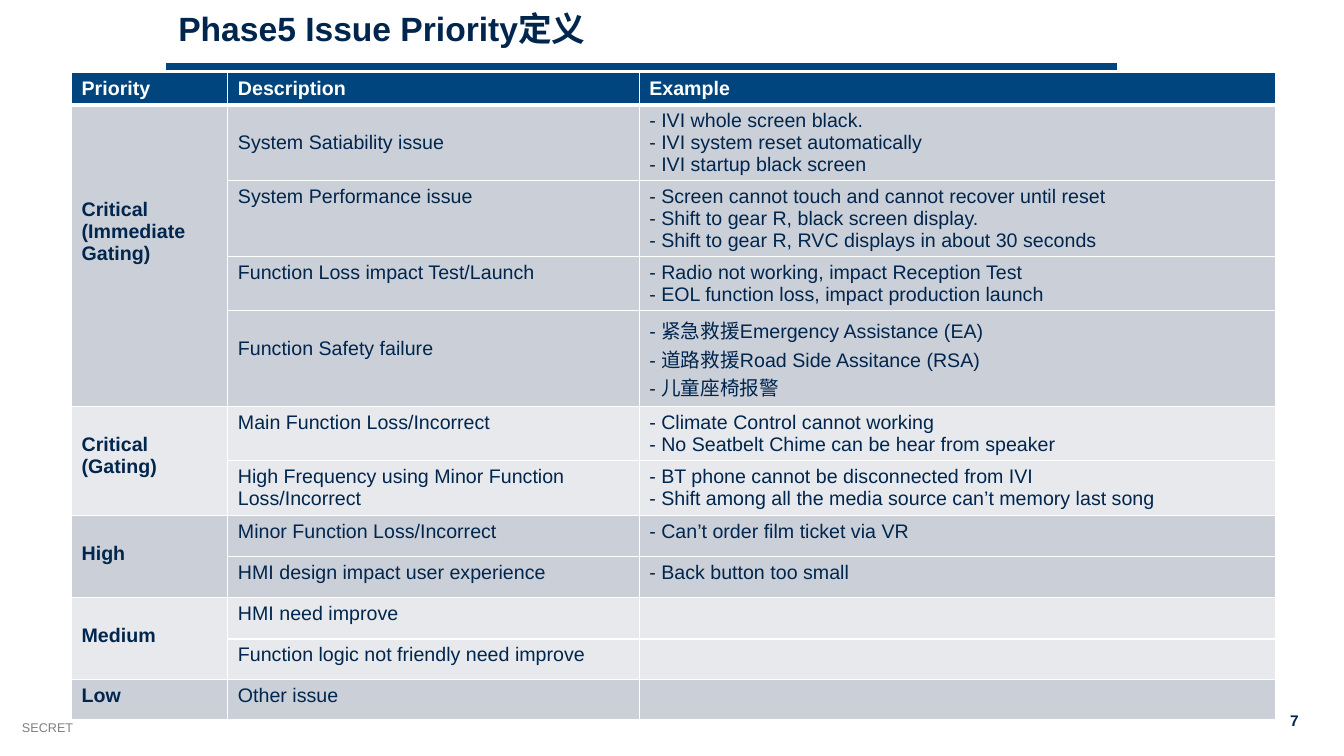
from lxml import etree
from pptx import Presentation
from pptx.dml.color import RGBColor
from pptx.enum import shapes, text
from pptx.oxml.ns import qn
from pptx.util import Inches, Pt

NAVY, BLUE, WHITE, GREY = "00264E", "00457E", "FFFFFF", "808080"
DARK_BAND, LIGHT_BAND = "CBCFD8", "E7E9EC"
LINE_HEIGHT = 0.22
COL_WIDTHS = (1.55, 4.08, 6.31)
HEADERS = ("Priority", "Description", "Example")
HEADER_HEIGHT = 0.32

# Priority lines, blank lines above, rows of
# (description, blank lines above, example lines, row height)
GROUPS = [
    (["Critical", "(Immediate Gating)"], 4, [
        ("System Satiability issue", 1,
         ["- IVI whole screen black.", "- IVI system reset automatically",
          "- IVI startup black screen"], 0.75),
        ("System Performance issue", 0,
         ["- Screen cannot touch and cannot recover until reset",
          "- Shift to gear R, black screen display.",
          "- Shift to gear R, RVC displays in about 30 seconds"], 0.75),
        ("Function Loss impact Test/Launch", 0,
         ["- Radio not working, impact Reception Test",
          "- EOL function loss, impact production launch"], 0.54),
        ("Function Safety failure", 1,
         ["- 紧急救援Emergency Assistance (EA)",
          "- 道路救援Road Side Assitance (RSA)", "- 儿童座椅报警"], 0.95),
    ]),
    (["Critical", "(Gating)"], 1, [
        ("Main Function Loss/Incorrect", 0,
         ["- Climate Control cannot working",
          "- No Seatbelt Chime can be hear from speaker"], 0.54),
        ("High Frequency using Minor Function Loss/Incorrect", 0,
         ["- BT phone cannot be disconnected from IVI",
          "- Shift among all the media source can’t memory last song"], 0.54),
    ]),
    (["High"], 1, [
        ("Minor Function Loss/Incorrect", 0,
         ["- Can’t order film ticket via VR"], 0.41),
        ("HMI design impact user experience", 0,
         ["- Back button too small"], 0.41),
    ]),
    (["Medium"], 1, [
        ("HMI need improve", 0, [""], 0.41),
        ("Function logic not friendly need improve", 0, [""], 0.4),
    ]),
    (["Low"], 0, [("Other issue", 0, [""], 0.4)]),
]


def rgb(value):
    return RGBColor.from_string(value)


def style(p, size, color, bold=False):
    p.font.name = "Arial"
    p.font.size = Pt(size)
    p.font.bold = bold
    p.font.color.rgb = rgb(color)


def add_label(s, box, words, size, color, bold=False, wrap=False,
              align=text.PP_ALIGN.LEFT):
    tf = s.shapes.add_textbox(*map(Inches, box)).text_frame
    tf.word_wrap = wrap
    p = tf.paragraphs[0]
    p.text = words
    p.alignment = align
    style(p, size, color, bold)
    return p


def add_rule(s, x1, x2, y):
    line = s.shapes.add_connector(shapes.MSO_CONNECTOR.STRAIGHT,
                                  *map(Inches, (x1, y, x2, y)))
    line.line.color.rgb = rgb(BLUE)
    line.line.width = Pt(4.5)
    etree.SubElement(line._element.spPr, qn("a:effectLst"))


def set_borders(cell, top, bottom):
    """White borders; top and bottom widths in points, sides 1 pt."""
    tc_pr = cell._tc.get_or_add_tcPr()
    widths = {"lnL": 1, "lnR": 1, "lnT": top, "lnB": bottom}
    for i, (side, width) in enumerate(widths.items()):
        ln = etree.Element(qn(f"a:{side}"), w=str(Pt(width)))
        fill = etree.SubElement(ln, qn("a:solidFill"))
        etree.SubElement(fill, qn("a:srgbClr"), val=WHITE)
        tc_pr.insert(i, ln)


def fill_cell(cell, lines, color=NAVY, bold=False, blank_lines=0):
    tf = cell.text_frame
    cell.margin_top = Inches(0.05 + blank_lines * LINE_HEIGHT)
    for i, words in enumerate(lines):
        p = tf.paragraphs[0] if i == 0 else tf.add_paragraph()
        p.text = words
        style(p, 14, color, bold)


def add_priority_table(s):
    heights = [HEADER_HEIGHT] + [row[-1] for g in GROUPS for row in g[2]]
    box = (0.71, 0.72, sum(COL_WIDTHS), sum(heights))
    table = s.shapes.add_table(len(heights), len(COL_WIDTHS),
                               *map(Inches, box)).table
    for column, width in zip(table.columns, COL_WIDTHS):
        column.width = Inches(width)
    for row, height in zip(table.rows, heights):
        row.height = Inches(height)

    bands = [BLUE]
    for i, (_, _, rows) in enumerate(GROUPS):
        bands += [LIGHT_BAND if i % 2 else DARK_BAND] * len(rows)
    for r, band in enumerate(bands):
        for cell in table.rows[r].cells:
            cell.fill.solid()
            cell.fill.fore_color.rgb = rgb(band)
            cell.margin_bottom = 0  # row heights already hold the gap
            set_borders(cell, 3 if r == 1 else 1, 3 if r == 0 else 1)

    for c, header in enumerate(HEADERS):
        fill_cell(table.cell(0, c), [header], WHITE, True)
    r = 1
    for priority, blank_lines, rows in GROUPS:
        first = table.cell(r, 0)
        if len(rows) > 1:
            first.merge(table.cell(r + len(rows) - 1, 0))
        fill_cell(first, priority, bold=True, blank_lines=blank_lines)
        for description, blanks, examples, _ in rows:
            fill_cell(table.cell(r, 1), [description], blank_lines=blanks)
            fill_cell(table.cell(r, 2), examples)
            r += 1


def main():
    prs = Presentation()
    prs.slide_width, prs.slide_height = Inches(13.33), Inches(7.5)
    s = prs.slides.add_slide(prs.slide_layouts[6])
    add_label(s, (0.12, 7.09, 3, 0.25), "SECRET", 9, GREY, wrap=True)
    add_label(s, (12.59, 7.01, 0.39, 0.29), "7", 11, NAVY, True,
              align=text.PP_ALIGN.RIGHT)
    add_rule(s, 1.65, 11.08, 0.66)
    title = add_label(s, (1.67, 0.07, 11.76, 0.63),
                      "Phase5 Issue Priority定义", 24, NAVY, True, wrap=True)
    title.line_spacing = 0.9
    add_priority_table(s)
    prs.save("out.pptx")


if __name__ == "__main__":
    main()
